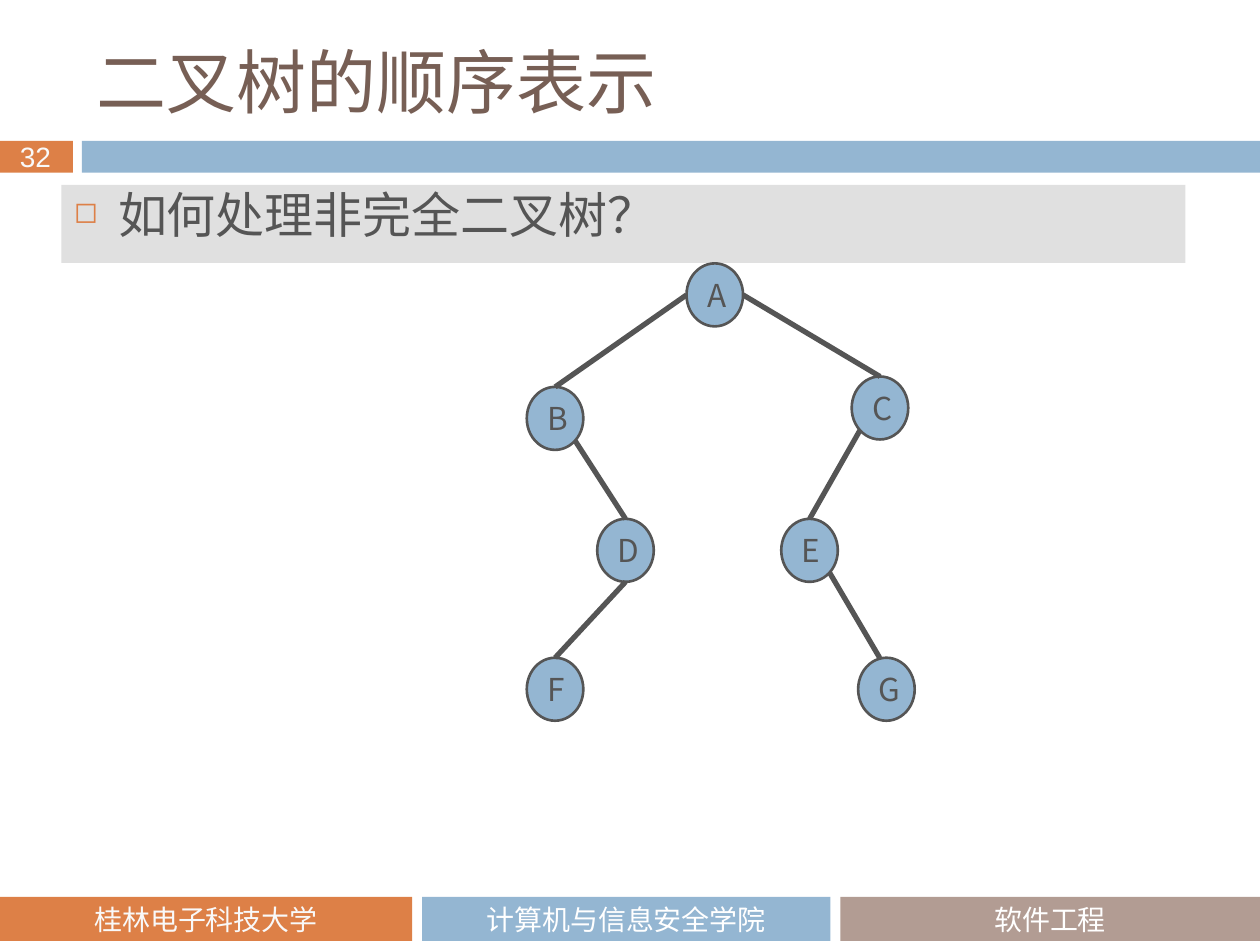
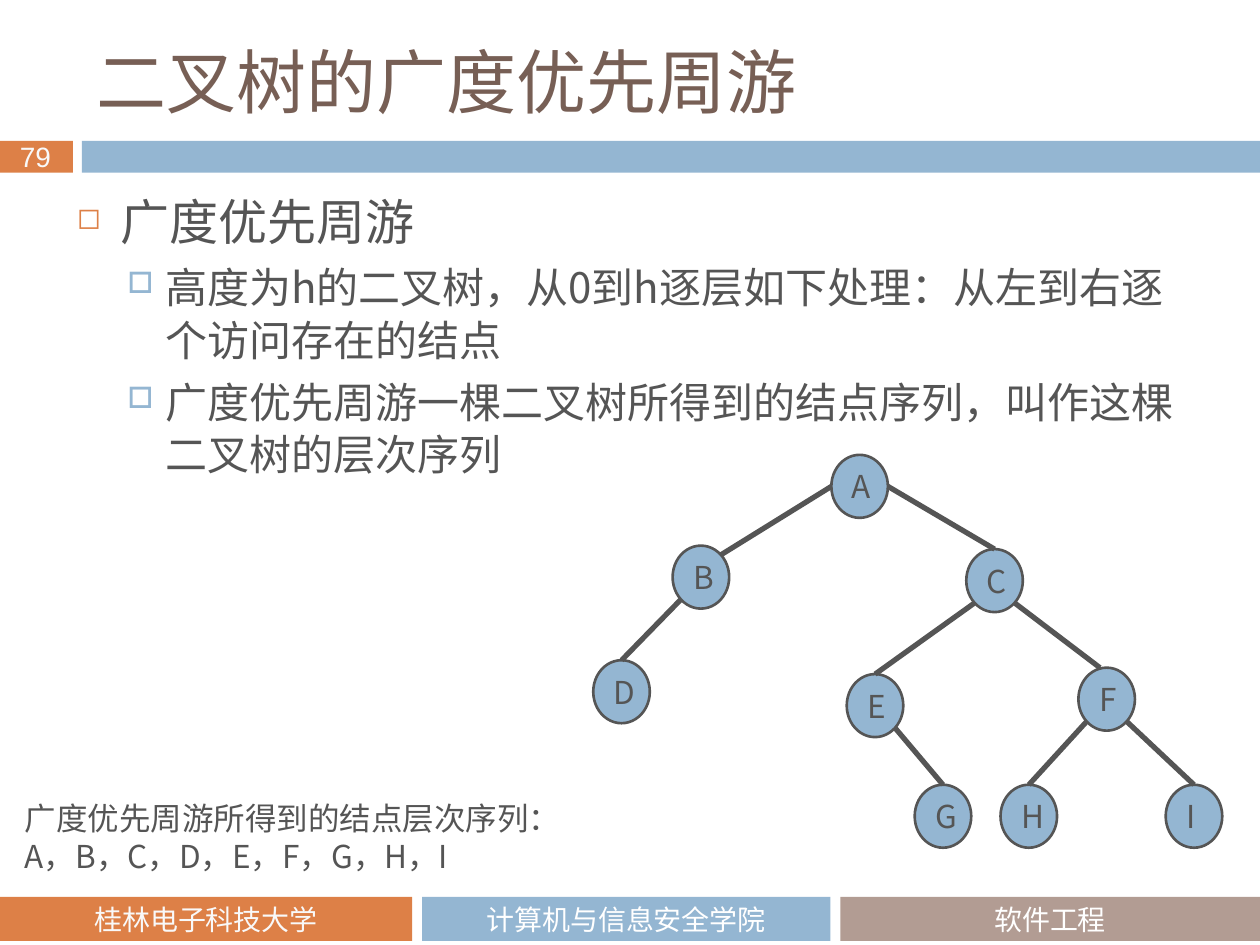
"""Build two lecture slides on binary trees: sequential storage and breadth-first traversal."""
from lxml.etree import SubElement
from pptx import Presentation
from pptx.dml.color import RGBColor
from pptx.enum.shapes import MSO_CONNECTOR, MSO_SHAPE
from pptx.enum.text import MSO_ANCHOR, PP_ALIGN
from pptx.oxml.ns import qn
from pptx.util import Cm, Pt

ORANGE = RGBColor(0xDD, 0x80, 0x47)
BLUE = RGBColor(0x94, 0xB6, 0xD2)
TAUPE = RGBColor(0xB2, 0x9C, 0x93)
BROWN = RGBColor(0x77, 0x5F, 0x55)
INK = RGBColor(0x55, 0x55, 0x55)
PANEL = RGBColor(0xE0, 0xE0, 0xE0)
WHITE = RGBColor(0xFF, 0xFF, 0xFF)
OFF_WHITE = RGBColor(0xF9, 0xF9, 0xF9)
BODY_FACE = "Noto Sans CJK SC"
TITLE_FACE = "Noto Sans CJK JP"

NODE_W, NODE_H = 1.14, 1.27
SITES = {
    "top": (0, -1), "near top": (-0.24, -1), "bottom": (0, 1),
    "left": (-1, 0), "right": (1, 0), "upper right": (0.71, -0.71),
    "lower left": (-0.71, 0.71), "lower right": (0.71, 0.71),
}
BANDS = [
    (0, 2.84, 1.47, 0.64, ORANGE, "", WHITE),
    (1.65, 2.84, 23.75, 0.64, BLUE, "", WHITE),
    (0, 18.08, 8.31, 0.89, ORANGE, "桂林电子科技大学", OFF_WHITE),
    (8.51, 18.08, 8.23, 0.89, BLUE, "计算机与信息安全学院", WHITE),
    (16.94, 18.08, 8.46, 0.89, TAUPE, "软件工程", WHITE),
]
LEVELS = [
    {"left": 0.89, "hang": 0.89, "before": 7, "bullet": "◻", "color": ORANGE, "percent": 60, "size": 28},
    {"left": 1.78, "hang": 0.76, "before": 5.5, "bullet": "□", "color": BLUE, "percent": 70, "size": 24},
]
LESSONS = [
    {
        "title": "二叉树的顺序表示",
        "number": "32",
        "body_area": (1.24, 3.73, 22.66, 1.57),
        "panel": True,
        "points": [(0, "如何处理非完全二叉树？")],
        "nodes": {
            "A": (13.84, 5.31), "B": (10.62, 7.8), "C": (17.17, 7.59), "D": (12.04, 10.46),
            "E": (15.75, 10.46), "F": (10.62, 13.26), "G": (17.3, 13.26),
        },
        "edges": [
            ("A", "left", "B", "top"), ("A", "right", "C", "top"),
            ("B", "lower right", "D", "top"), ("C", "lower left", "E", "top"),
            ("D", "bottom", "F", "top"), ("E", "lower right", "G", "near top"),
        ],
        "caption": [],
    },
    {
        "title": "二叉树的广度优先周游",
        "number": "79",
        "body_area": (1.3, 3.86, 22.66, 6.12),
        "panel": False,
        "points": [
            (0, "广度优先周游"),
            (1, "高度为h的二叉树，从0到h逐层如下处理：从左到右逐个访问存在的结点"),
            (1, "广度优先周游一棵二叉树所得到的结点序列，叫作这棵二叉树的层次序列"),
        ],
        "nodes": {
            "A": (16.76, 9.17), "B": (13.56, 11), "C": (19.48, 11.07), "D": (11.96, 13.31),
            "E": (17.07, 13.59), "F": (21.74, 13.46), "G": (18.44, 15.82),
            "H": (20.17, 15.82), "I": (23.5, 15.82),
        },
        "edges": [
            ("A", "left", "B", "upper right"), ("A", "right", "C", "top"),
            ("B", "lower left", "D", "top"), ("C", "lower left", "E", "top"),
            ("C", "lower right", "F", "near top"), ("E", "lower right", "G", "top"),
            ("F", "lower left", "H", "top"), ("F", "lower right", "I", "top"),
        ],
        "caption": ["广度优先周游所得到的结点层次序列：", "A，B，C，D，E，F，G，H，I"],
    },
]


def set_text(paragraph, text, size, color, face=BODY_FACE, align=PP_ALIGN.LEFT):
    paragraph.text = text
    paragraph.alignment = align
    font = paragraph.font
    font.size = Pt(size)
    font.color.rgb = color
    font.name = face
    SubElement(font._element, qn("a:ea"), typeface=face)


def add_filled(slide, kind, area, fill):
    shape = slide.shapes.add_shape(kind, *(Cm(length) for length in area))
    shape.shadow.inherit = False
    shape.fill.solid()
    shape.fill.fore_color.rgb = fill
    shape.line.fill.background()
    return shape


deck = Presentation()
deck.slide_width, deck.slide_height = Cm(25.4), Cm(19.05)

for lesson in LESSONS:
    slide = deck.slides.add_slide(deck.slide_layouts[5])

    for *area, fill, label, label_color in BANDS:
        band = add_filled(slide, MSO_SHAPE.RECTANGLE, area, fill)
        if label:
            set_text(band.text_frame.paragraphs[0], label, 16, label_color, "Calibri", PP_ALIGN.CENTER)

    page_number = slide.shapes.add_textbox(Cm(0.15), Cm(2.69), Cm(1.22), Cm(0.94))
    set_text(page_number.text_frame.paragraphs[0], lesson["number"], 16, OFF_WHITE, "Arial")

    heading = slide.shapes.title
    heading.left, heading.top, heading.width, heading.height = Cm(1.7), Cm(0.64), Cm(22.66), Cm(1.98)
    heading.text_frame.vertical_anchor = MSO_ANCHOR.MIDDLE
    set_text(heading.text_frame.paragraphs[0], lesson["title"], 40, BROWN, TITLE_FACE)

    body = slide.shapes.add_textbox(*(Cm(length) for length in lesson["body_area"]))
    body.text_frame.word_wrap = True
    if lesson["panel"]:
        body.fill.solid()
        body.fill.fore_color.rgb = PANEL
    for index, (depth, text) in enumerate(lesson["points"]):
        level = LEVELS[depth]
        point = body.text_frame.add_paragraph() if index else body.text_frame.paragraphs[0]
        point.level = depth
        point.line_spacing = Pt(30)
        if index:
            point.space_before = Pt(level["before"])
        properties = point._p.get_or_add_pPr()
        properties.set("marL", str(Cm(level["left"])))
        properties.set("indent", str(-Cm(level["hang"])))
        bullet_color = SubElement(properties, qn("a:buClr"))
        SubElement(bullet_color, qn("a:srgbClr"), val=str(level["color"]))
        SubElement(properties, qn("a:buSzPct"), val=str(level["percent"] * 1000))
        SubElement(properties, qn("a:buChar"), char=level["bullet"])
        set_text(point, text, level["size"], INK)

    for letter, (left, top) in lesson["nodes"].items():
        node = add_filled(slide, MSO_SHAPE.OVAL, (left, top, NODE_W, NODE_H), BLUE)
        node.line.color.rgb = INK
        node.line.width = Pt(1.5)
        set_text(node.text_frame.paragraphs[0], letter, 18, INK)

    for parent, parent_site, child, child_site in lesson["edges"]:
        ends = []
        for letter, site in ((parent, parent_site), (child, child_site)):
            left, top = lesson["nodes"][letter]
            across, down = SITES[site]
            ends += [Cm(left + NODE_W / 2 * (1 + across)), Cm(top + NODE_H / 2 * (1 + down))]
        edge = slide.shapes.add_connector(MSO_CONNECTOR.STRAIGHT, *ends)
        edge.line.color.rgb = INK
        edge.line.width = Pt(3)
        SubElement(edge._element.spPr, qn("a:effectLst"))

    if lesson["caption"]:
        caption = slide.shapes.add_textbox(Cm(0.25), Cm(15.98), Cm(12.7), Cm(1.8))
        caption.text_frame.word_wrap = True
        for index, text in enumerate(lesson["caption"]):
            row = caption.text_frame.add_paragraph() if index else caption.text_frame.paragraphs[0]
            set_text(row, text, 18, INK)

deck.save("out.pptx")
